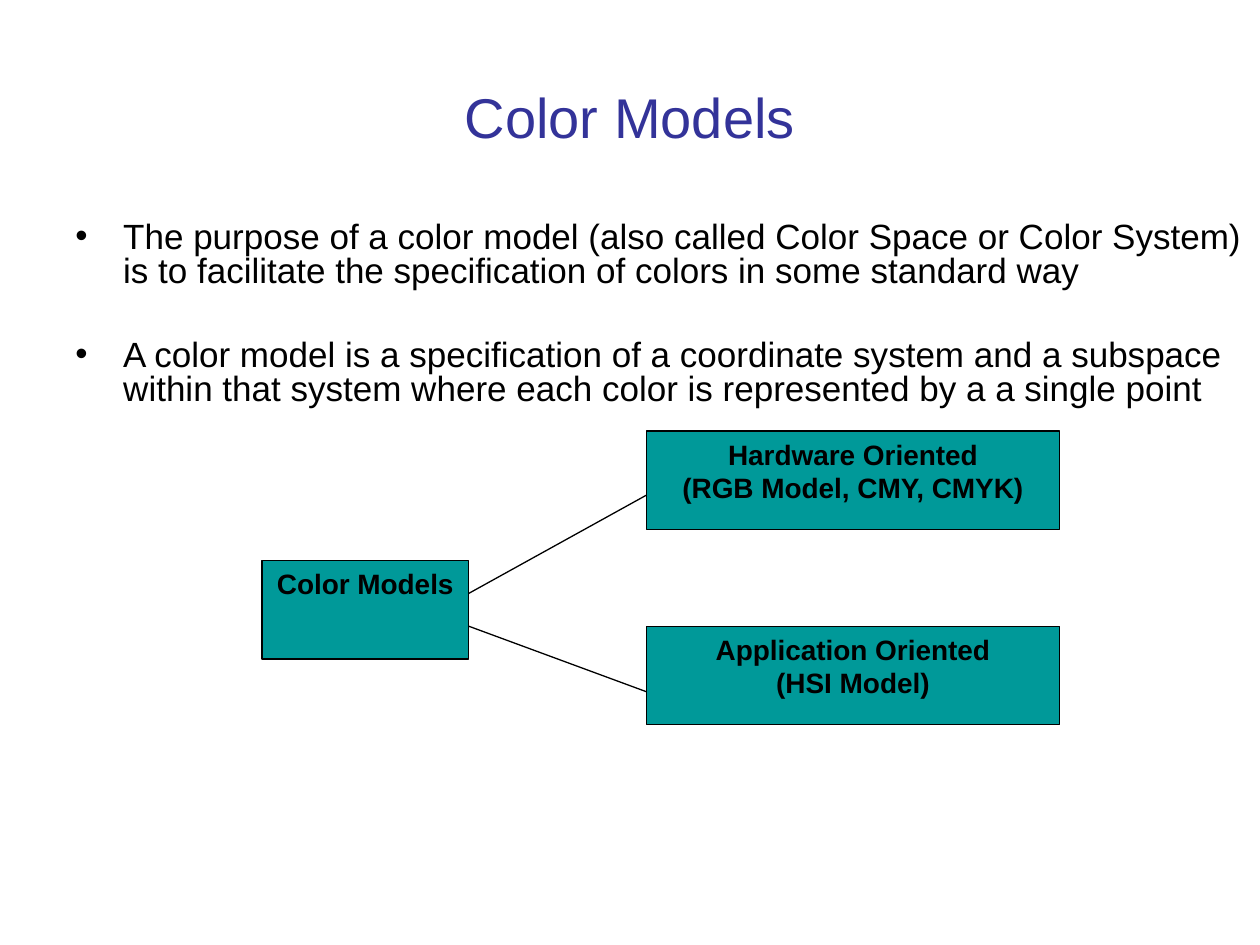
"""Build a slide that introduces color models and their two families."""
from dataclasses import dataclass

from lxml import etree
from pptx import Presentation
from pptx.dml.color import RGBColor
from pptx.enum.shapes import MSO_CONNECTOR, MSO_SHAPE
from pptx.enum.text import MSO_ANCHOR, PP_ALIGN
from pptx.oxml.ns import qn
from pptx.util import Inches, Pt

STRAIGHT = MSO_CONNECTOR.STRAIGHT
RECTANGLE = MSO_SHAPE.RECTANGLE
TOP, MIDDLE = MSO_ANCHOR.TOP, MSO_ANCHOR.MIDDLE
LEFT, CENTER = PP_ALIGN.LEFT, PP_ALIGN.CENTER


@dataclass(frozen=True)
class Theme:
    font: str = "Arial"
    title_color: RGBColor = RGBColor(0x33, 0x33, 0x99)
    ink: RGBColor = RGBColor(0, 0, 0)
    box_fill: RGBColor = RGBColor(0, 0x99, 0x99)
    title_size: Pt = Pt(32)
    body_size: Pt = Pt(20)
    label_size: Pt = Pt(16)
    line_width: Pt = Pt(0.75)


theme = Theme()


def write(shape, text, size, color, align, anchor, bold=False):
    frame = shape.text_frame
    frame.word_wrap = True
    frame.vertical_anchor = anchor
    frame.text = text
    for para in frame.paragraphs:
        para.alignment = align
        for span in para.runs:
            span.font.name = theme.font
            span.font.size = size
            span.font.bold = bold
            span.font.color.rgb = color
    return frame


deck = Presentation()
deck.slide_width, deck.slide_height = Inches(10), Inches(7.5)
page = deck.slides.add_slide(deck.slide_layouts[6])

title = page.shapes.add_textbox(Inches(0.5), Inches(0.3), Inches(9), Inches(1.25))
write(title, "Color Models", theme.title_size, theme.title_color, CENTER, MIDDLE)

points = [
    "The purpose of a color model (also called Color Space or Color System) "
    "is to facilitate the specification of colors in some standard way",
    "A color model is a specification of a coordinate system and a subspace "
    "within that system where each color is represented by a a single point",
]
body = page.shapes.add_textbox(Inches(0.5), Inches(1.72), Inches(9.5), Inches(2.44))
frame = write(body, "\n".join(points), theme.body_size, theme.ink, LEFT, TOP)
for number, para in enumerate(frame.paragraphs):
    para.line_spacing = 0.8
    para.space_before = Pt(29 if number else 0)
    properties = para._p.get_or_add_pPr()
    properties.set("marL", str(Inches(0.38)))
    properties.set("indent", str(-Inches(0.38)))
    etree.SubElement(properties, qn("a:buFont"), typeface=theme.font)
    etree.SubElement(properties, qn("a:buChar"), char="•")

box_height = 0.78
root_left, root_width = 2.08, 1.64
branch_left, branch_width = 5.13, 3.28
boxes = [
    ("Color Models", root_left, 4.45, root_width),
    ("Hardware Oriented\n(RGB Model, CMY, CMYK)", branch_left, 3.42, branch_width),
    ("Application Oriented\n(HSI Model)", branch_left, 4.97, branch_width),
]
for label, left, top, width in boxes:
    box = page.shapes.add_shape(
        RECTANGLE, Inches(left), Inches(top), Inches(width), Inches(box_height)
    )
    box.shadow.inherit = False
    box.fill.solid()
    box.fill.fore_color.rgb = theme.box_fill
    box.line.color.rgb = theme.ink
    box.line.width = theme.line_width
    write(box, label, theme.label_size, theme.ink, CENTER, TOP, bold=True)

for start, end in [(4.71, 3.93), (4.97, 5.49)]:
    branch = page.shapes.add_connector(
        STRAIGHT,
        Inches(root_left + root_width),
        Inches(start),
        Inches(branch_left),
        Inches(end),
    )
    branch.line.color.rgb = theme.ink
    branch.line.width = theme.line_width
    etree.SubElement(branch._element.spPr, qn("a:effectLst"))

deck.save("out.pptx")
